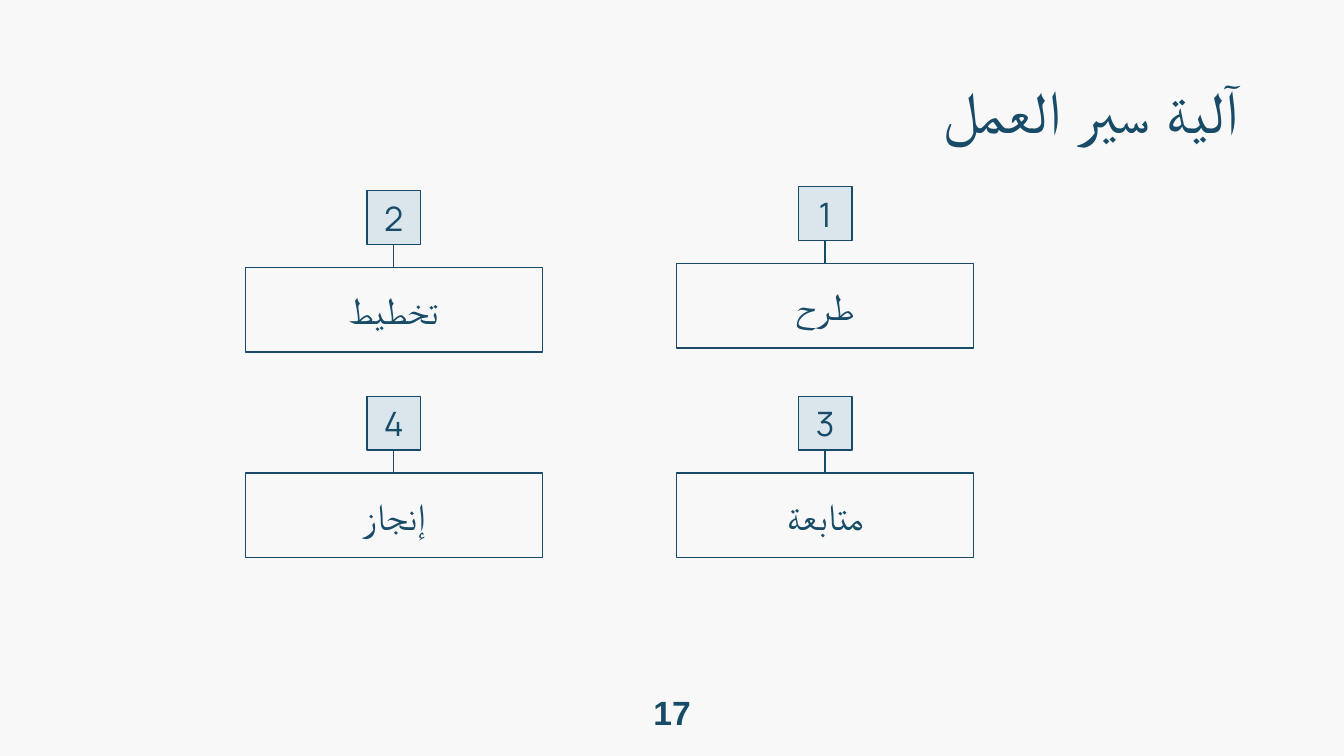
"""Builds the workflow slide: a title, four numbered steps and a page number."""
from pptx import Presentation
from pptx.dml.color import RGBColor
from pptx.enum.shapes import MSO_CONNECTOR as Link, MSO_SHAPE as Shape
from pptx.enum.text import MSO_ANCHOR as Anchor, MSO_AUTO_SIZE as Fit, PP_ALIGN as Align
from pptx.oxml.ns import qn
from pptx.util import Inches, Pt
from lxml import etree

INK, PALE, PAPER = "174B67", "DAE6EC", "F8F8F8"


def color(part, code):
    part.rgb = RGBColor.from_string(code)


def write(shape, text, size, face="Arial", align=Align.CENTER, anchor=Anchor.MIDDLE, bold=False):
    frame = shape.text_frame
    frame.text = text
    frame.word_wrap = True
    frame.auto_size = Fit.NONE
    frame.vertical_anchor = anchor
    frame.margin_left = frame.margin_right = Inches(0.1)
    frame.margin_top = frame.margin_bottom = Inches(0.1)
    line = frame.paragraphs[0]
    line.alignment = align
    line.font.name = face
    line.font.size = Pt(size)
    line.font.bold = bold
    color(line.font.color, INK)
    if not text.isdigit():
        props = line._p.get_or_add_pPr()
        props.set("rtl", "1")
        etree.SubElement(props.find(qn("a:defRPr")), qn("a:cs"), typeface=face)


deck = Presentation()
deck.slide_width, deck.slide_height = Inches(10), Inches(10) * 9 // 16
slide = deck.slides.add_slide(deck.slide_layouts[5])
slide.background.fill.solid()
color(slide.background.fill.fore_color, PAPER)
shapes = slide.shapes

title = shapes.title
title.left, title.top = Inches(0.89), Inches(0.45)
title.width, title.height = Inches(8.43), Inches(0.57)
write(title, "آلية سير العمل", 32, align=Align.RIGHT, anchor=Anchor.TOP)

page = shapes.add_textbox(Inches(4.66), Inches(5.06), Inches(0.68), Inches(0.48))
write(page, "17", 18, bold=True)

WIDE, HIGH, SIDE, DROP = 2.21, 0.63, 0.4, 0.57
steps = [
    ("طرح", 6.14, 1.39),
    ("تخطيط", 2.93, 1.42),
    ("متابعة", 6.14, 2.95),
    ("إنجاز", 2.93, 2.95),
]
for number, (label, mid, top) in enumerate(steps, 1):
    base = top + DROP
    card = shapes.add_shape(
        Shape.RECTANGLE, Inches(mid - WIDE / 2), Inches(base), Inches(WIDE), Inches(HIGH))
    card.fill.background()
    write(card, label, 20)

    badge = shapes.add_shape(
        Shape.RECTANGLE, Inches(mid - SIDE / 2), Inches(top), Inches(SIDE), Inches(SIDE))
    badge.fill.solid()
    color(badge.fill.fore_color, PALE)
    write(badge, str(number), 18, "Manrope")

    stem = shapes.add_connector(
        Link.STRAIGHT, Inches(mid), Inches(top + SIDE), Inches(mid), Inches(base))
    for item in (card, badge, stem):
        color(item.line.color, INK)
        item.line.width = Pt(0.75)
    card.shadow.inherit = badge.shadow.inherit = False
    etree.SubElement(stem._element.spPr, qn("a:effectLst"))

deck.save("out.pptx")
